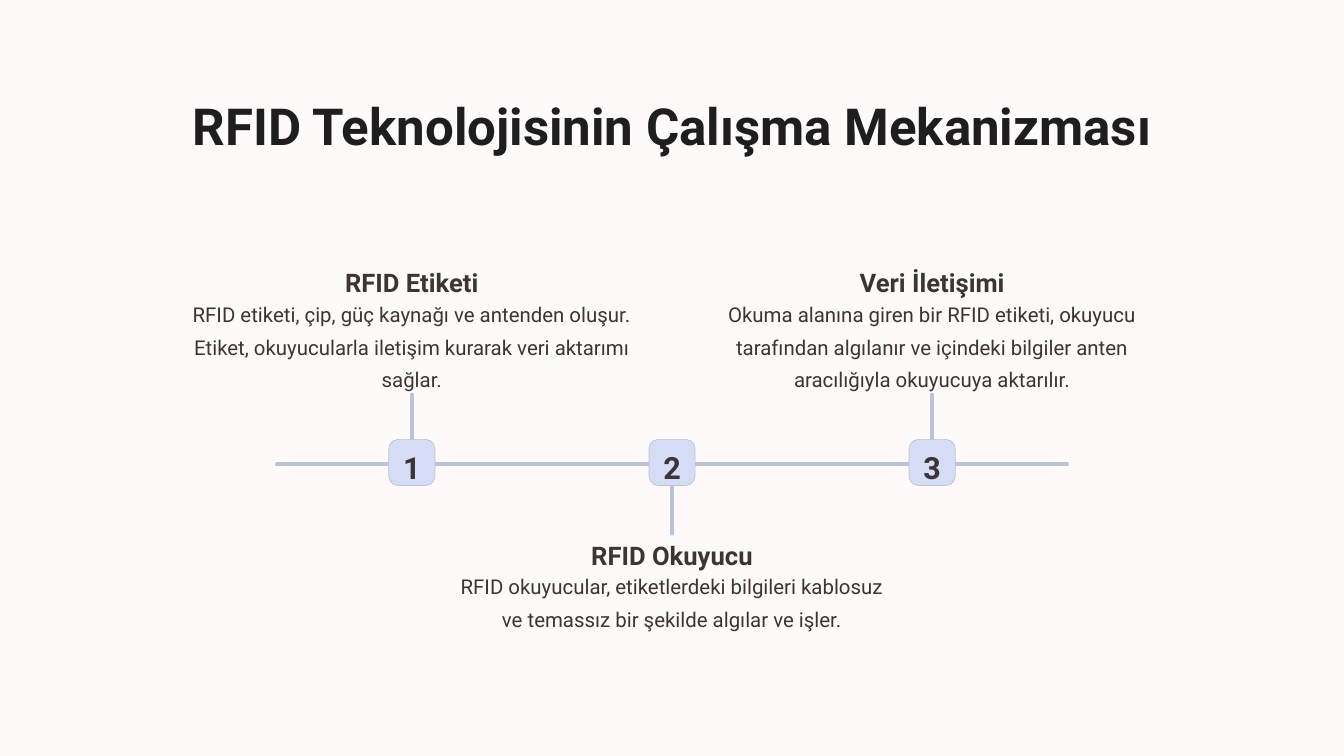
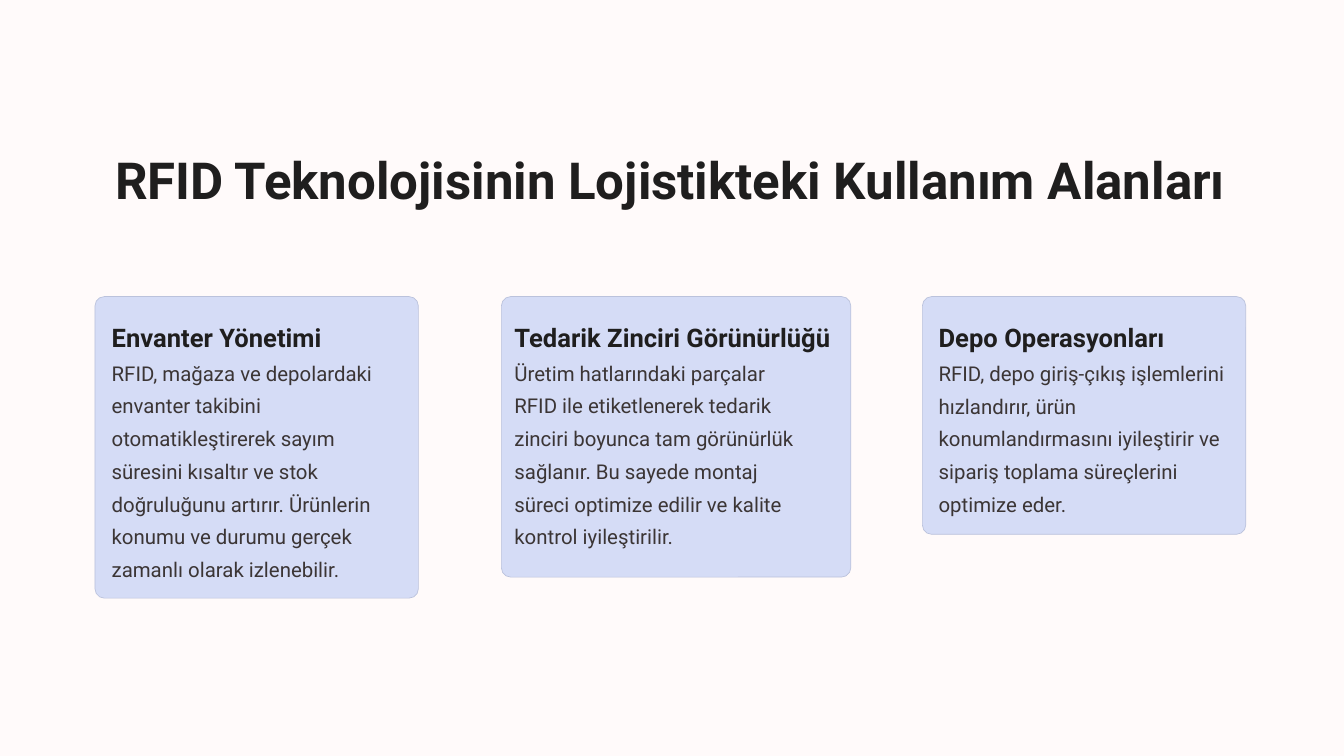
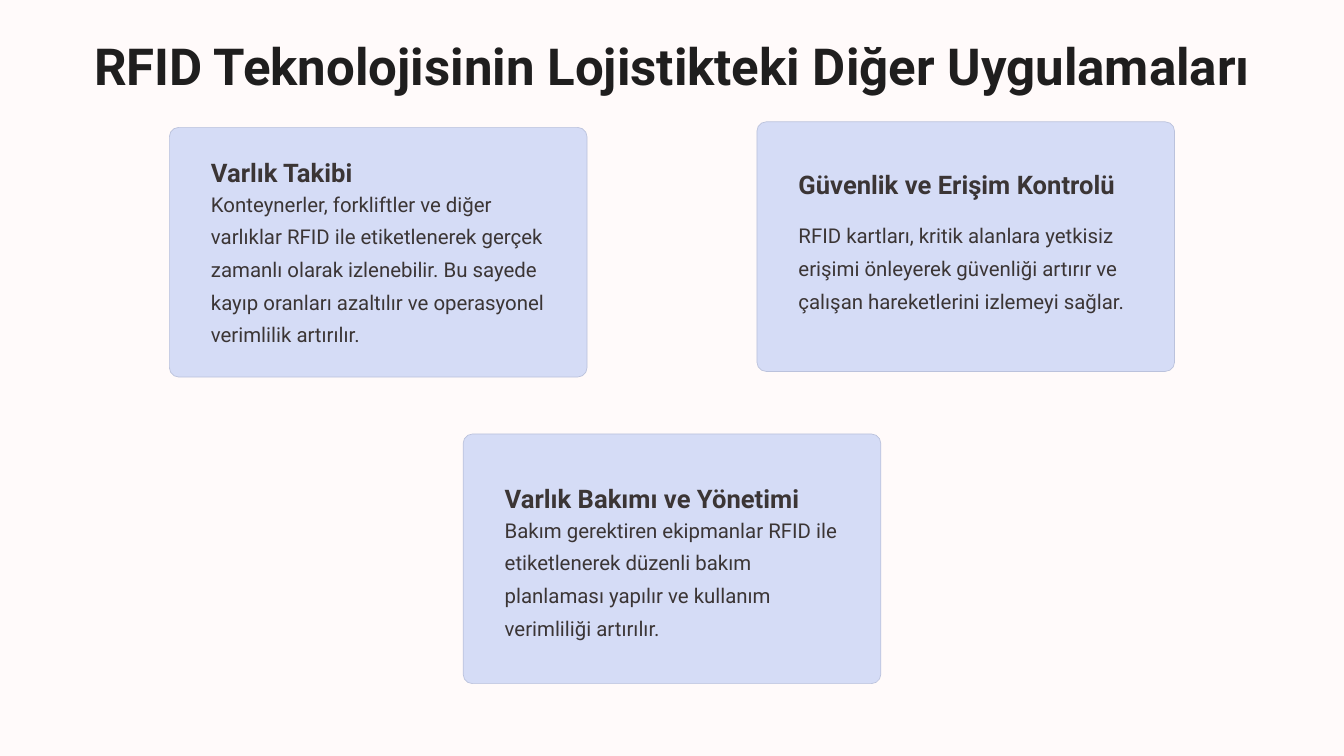
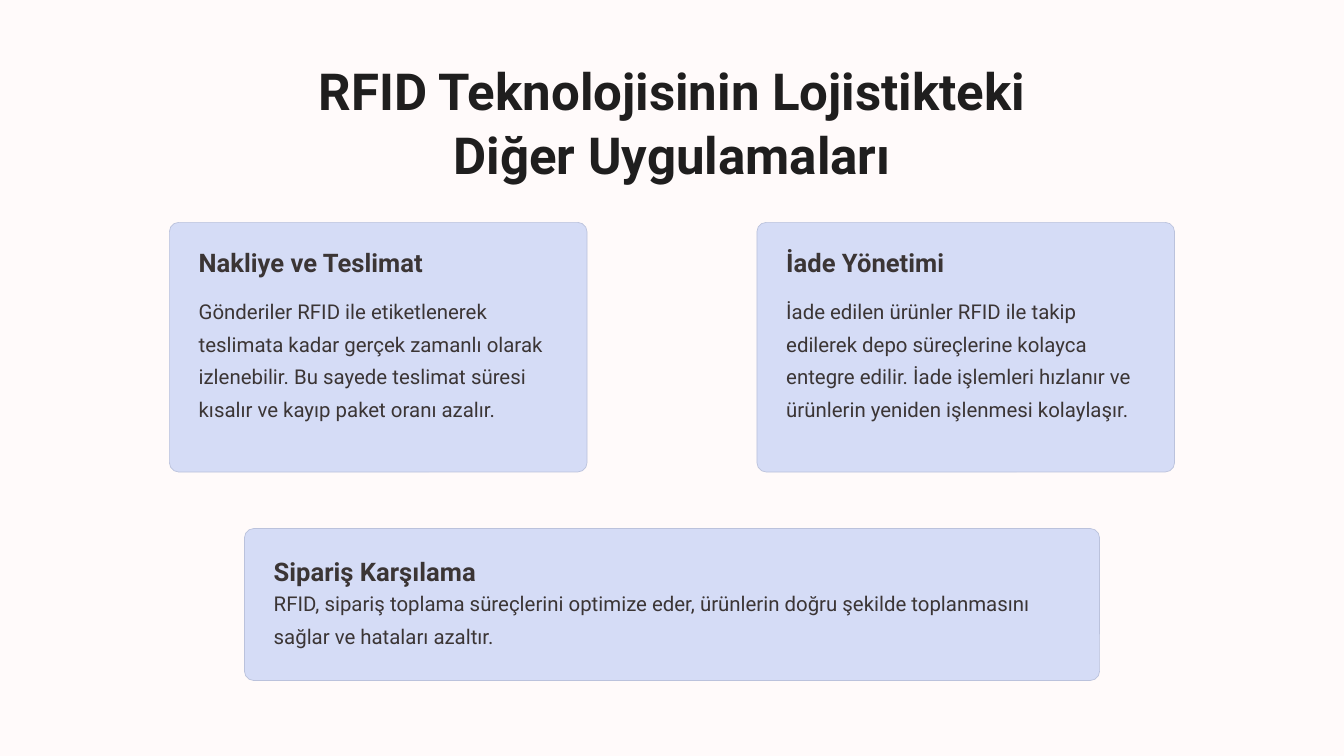
from dataclasses import dataclass

from lxml import etree
from pptx import Presentation
from pptx.dml.color import RGBColor
from pptx.enum.shapes import MSO_CONNECTOR, MSO_SHAPE
from pptx.enum.text import MSO_ANCHOR, PP_ALIGN
from pptx.oxml.ns import qn
from pptx.util import Pt

LEFT, CENTER = PP_ALIGN.LEFT, PP_ALIGN.CENTER
TOP, MIDDLE = MSO_ANCHOR.TOP, MSO_ANCHOR.MIDDLE
ROUNDED, STRAIGHT = MSO_SHAPE.ROUNDED_RECTANGLE, MSO_CONNECTOR.STRAIGHT

PAPER = RGBColor(0xFF, 0xFA, 0xFA)
INK = RGBColor(0x1F, 0x1E, 0x1E)
BROWN = RGBColor(0x3B, 0x35, 0x35)
LAVENDER = RGBColor(0xD5, 0xDC, 0xF6)
BORDER = RGBColor(0xBB, 0xC2, 0xDC)

SLIDE_WIDTH, SLIDE_HEIGHT = 1152, 648
TITLE_HEIGHT, HEADING_HEIGHT = 109.4, 27.4
CORNER_RADIUS = 8


@dataclass
class TextStyle:
    size: float
    line: float
    color: RGBColor
    bold: bool = True


TITLE = TextStyle(43.7, 54.7, INK)
NUMBER = TextStyle(26.2, 32.8, BROWN)
HEADING = TextStyle(21.9, 27.3, BROWN)
DARK_HEADING = TextStyle(21.9, 27.3, INK)
BODY = TextStyle(17.5, 28, BROWN, False)


@dataclass
class Card:
    """A rounded box; heading_top and body_top are measured from its top edge."""
    box: tuple
    inset: float
    heading_top: float
    body_top: float
    body_height: float
    heading: str
    body: str
    body_width: float = 0  # 0: as wide as the insets allow


# Timeline: heading, body, direction of the stem (-1 up, 1 down)
STEPS = [
    ("RFID Etiketi", "RFID etiketi, çip, güç kaynağı ve antenden oluşur. Etiket, "
     "okuyucularla iletişim kurarak veri aktarımı sağlar.", -1),
    ("RFID Okuyucu", "RFID okuyucular, etiketlerdeki bilgileri kablosuz ve temassız "
     "bir şekilde algılar ve işler.", 1),
    ("Veri İletişimi", "Okuma alanına giren bir RFID etiketi, okuyucu tarafından "
     "algılanır ve içindeki bilgiler anten aracılığıyla okuyucuya aktarılır.", -1),
]
AXIS_Y, AXIS_LENGTH, AXIS_WEIGHT = 397.8, 677, 3.6
STEP_PITCH, STEM_LENGTH = 223, 59.5
BADGE_SIZE, BADGE_TOP = 39.6, 376.6
STEP_WIDTH, STEP_BODY_HEIGHT = 394, 84
STEP_TOPS = {-1: (224, 248.4), 1: (458, 481.7)}

USES = [
    Card((81.4, 254.2, 277.2, 258.5), 7.2, 17.2, 44.6, 196, "Envanter Yönetimi",
         "RFID, mağaza ve depolardaki envanter takibini otomatikleştirerek sayım "
         "süresini kısaltır ve stok doğruluğunu artırır. Ürünlerin konumu ve durumu "
         "gerçek zamanlı olarak izlenebilir."),
    Card((429.8, 254.2, 299.5, 240.5), 4, 17.2, 44.6, 196, "Tedarik Zinciri Görünürlüğü",
         "Üretim hatlarındaki parçalar RFID ile etiketlenerek tedarik zinciri boyunca "
         "tam görünürlük sağlanır. Bu sayede montaj süreci optimize edilir ve kalite "
         "kontrol iyileştirilir.", 262.8),
    Card((790.6, 254.2, 277.2, 203.8), 6.8, 17.2, 44.6, 140, "Depo Operasyonları",
         "RFID, depo giriş-çıkış işlemlerini hızlandırır, ürün konumlandırmasını "
         "iyileştirir ve sipariş toplama süreçlerini optimize eder."),
]
ASSETS = [
    Card((145.2, 109.2, 358, 214), 28.5, 20.4, 48.3, 139.7, "Varlık Takibi",
         "Konteynerler, forkliftler ve diğer varlıklar RFID ile etiketlenerek gerçek "
         "zamanlı olarak izlenebilir. Bu sayede kayıp oranları azaltılır ve operasyonel "
         "verimlilik artırılır."),
    Card((648.8, 104.4, 358, 214), 28.5, 36, 66.2, 111.6, "Güvenlik ve Erişim Kontrolü",
         "RFID kartları, kritik alanlara yetkisiz erişimi önleyerek güvenliği artırır "
         "ve çalışan hareketlerini izlemeyi sağlar."),
    Card((397, 372, 358, 214), 28.5, 37, 64.3, 113, "Varlık Bakımı ve Yönetimi",
         "Bakım gerektiren ekipmanlar RFID ile etiketlenerek düzenli bakım planlaması "
         "yapılır ve kullanım verimliliği artırılır."),
]
DELIVERY = [
    Card((145.2, 190.6, 358, 214), 18, 16.8, 44.8, 139.7, "Nakliye ve Teslimat",
         "Gönderiler RFID ile etiketlenerek teslimata kadar gerçek zamanlı olarak "
         "izlenebilir. Bu sayede teslimat süresi kısalır ve kayıp paket oranı azalır."),
    Card((648.8, 190.6, 358, 214), 18, 16.8, 44.8, 139.7, "İade Yönetimi",
         "İade edilen ürünler RFID ile takip edilerek depo süreçlerine kolayca entegre "
         "edilir. İade işlemleri hızlanır ve ürünlerin yeniden işlenmesi kolaylaşır."),
    Card((209.5, 453, 733, 130.3), 18, 18.7, 46.7, 56, "Sipariş Karşılama",
         "RFID, sipariş toplama süreçlerini optimize eder, ürünlerin doğru şekilde "
         "toplanmasını sağlar ve hataları azaltır."),
]

# Title, its (left, top, width), cards, heading style, body anchor
CARD_SLIDES = [
    ("RFID Teknolojisinin Lojistikteki Kullanım Alanları", (81.4, 98, 985.7),
     USES, DARK_HEADING, TOP),
    ("RFID Teknolojisinin Lojistikteki Diğer Uygulamaları", (67.5, 0, 1017),
     ASSETS, HEADING, MIDDLE),
    ("RFID Teknolojisinin Lojistikteki Diğer Uygulamaları", (209.5, 49, 733),
     DELIVERY, HEADING, MIDDLE),
]


def points(*lengths):
    return [Pt(length) for length in lengths]


def write(shape, text, style, align=LEFT, anchor=TOP):
    frame = shape.text_frame
    frame.word_wrap = True
    frame.vertical_anchor = anchor
    paragraph = frame.paragraphs[0]
    paragraph.alignment = align
    paragraph.line_spacing = Pt(style.line)
    run = paragraph.add_run()
    run.text = text
    formats = {"name": "Roboto", "size": Pt(style.size), "bold": style.bold}
    for name, value in formats.items():
        setattr(run.font, name, value)
    run.font.color.rgb = style.color


def add_text(slide, box, text, style, align=LEFT, anchor=TOP):
    write(slide.shapes.add_textbox(*points(*box)), text, style, align, anchor)


def add_rounded_box(slide, box):
    shape = slide.shapes.add_shape(ROUNDED, *points(*box))
    shape.adjustments[0] = CORNER_RADIUS / min(box[2:])
    shape.shadow.inherit = False
    shape.fill.solid()
    shape.fill.fore_color.rgb = LAVENDER
    shape.line.color.rgb = BORDER
    shape.line.width = Pt(0.6)
    return shape


def add_line(slide, *ends):
    """Draw a round-capped line through (x1, y1, x2, y2)."""
    connector = slide.shapes.add_connector(STRAIGHT, *points(*ends))
    connector.line.color.rgb = BORDER
    connector.line.width = Pt(AXIS_WEIGHT)
    connector.line._get_or_add_ln().set("cap", "rnd")
    etree.SubElement(connector._element.spPr, qn("a:effectLst"))


def add_titled_slide(presentation, title, place):
    slide = presentation.slides.add_slide(presentation.slide_layouts[6])
    add_text(slide, (*place, TITLE_HEIGHT), title, TITLE, CENTER, MIDDLE)
    return slide


def add_badge(slide, center, number):
    badge = add_rounded_box(
        slide, (center - BADGE_SIZE / 2, BADGE_TOP, BADGE_SIZE, BADGE_SIZE))
    margins = {"margin_left": 0, "margin_right": 0, "margin_top": Pt(4.2), "margin_bottom": 0}
    for name, value in margins.items():
        setattr(badge.text_frame, name, value)
    write(badge, str(number), NUMBER, CENTER)


def add_timeline(slide):
    middle = SLIDE_WIDTH / 2
    add_line(slide, middle - AXIS_LENGTH / 2, AXIS_Y, middle + AXIS_LENGTH / 2, AXIS_Y)
    for index, (heading, body, direction) in enumerate(STEPS):
        center = middle + (index - 1) * STEP_PITCH
        left = center - STEP_WIDTH / 2
        heading_top, body_top = STEP_TOPS[direction]
        add_line(slide, center, AXIS_Y, center, AXIS_Y + direction * STEM_LENGTH)
        add_badge(slide, center, index + 1)
        add_text(slide, (left, heading_top, STEP_WIDTH, HEADING_HEIGHT), heading, HEADING, CENTER)
        add_text(slide, (left, body_top, STEP_WIDTH, STEP_BODY_HEIGHT), body, BODY, CENTER)


def add_card(slide, card, heading_style, body_anchor):
    left, top, width, _ = card.box
    text_left, text_width = left + card.inset, width - 2 * card.inset
    add_rounded_box(slide, card.box)
    add_text(slide, (text_left, top + card.heading_top, text_width, HEADING_HEIGHT),
             card.heading, heading_style)
    add_text(slide, (text_left, top + card.body_top, card.body_width or text_width,
                     card.body_height), card.body, BODY, anchor=body_anchor)


def main():
    presentation = Presentation()
    presentation.slide_width, presentation.slide_height = points(SLIDE_WIDTH, SLIDE_HEIGHT)
    background = presentation.slide_master.background.fill
    background.solid()
    background.fore_color.rgb = PAPER

    add_timeline(add_titled_slide(
        presentation, "RFID Teknolojisinin Çalışma Mekanizması", (138.5, 51, 875)))
    for title, place, cards, heading_style, body_anchor in CARD_SLIDES:
        slide = add_titled_slide(presentation, title, place)
        for card in cards:
            add_card(slide, card, heading_style, body_anchor)
    presentation.save("out.pptx")


if __name__ == "__main__":
    main()
